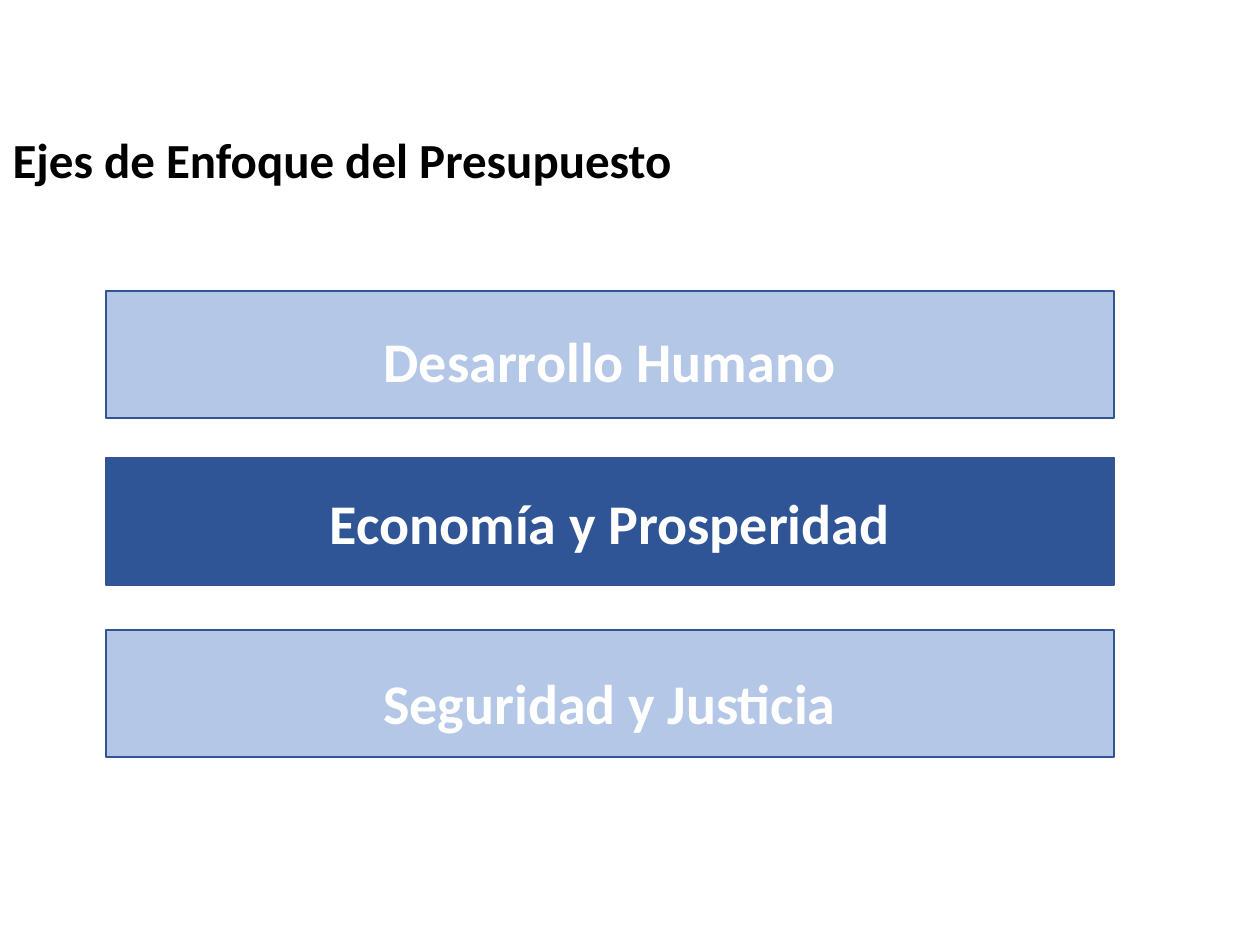
"""Build the slide on the focus areas of the budget."""
from dataclasses import dataclass

from pptx import Presentation
from pptx.dml.color import RGBColor as Rgb
from pptx.enum.shapes import MSO_SHAPE as Kind
from pptx.enum.text import MSO_ANCHOR as Anchor, PP_ALIGN as Align
from pptx.util import Pt

HUES = {
    "white": "FFFFFF",
    "black": "000000",
    "pale": "B4C7E7",
    "deep": "2F5597",
    "edge": "325491",
}
LEFT, WIDE, HIGH = 60.5, 576, 72.7


@dataclass
class Axis:
    text: str
    top: float
    drop: float
    fill: str


AXES = [
    Axis("Desarrollo Humano", 166.3, 16.6, "pale"),
    Axis("Economía y Prosperidad", 261.4, 14.4, "deep"),
    Axis("Seguridad y Justicia", 360, 18.7, "pale"),
]


def hue(name: str) -> Rgb:
    return Rgb.from_string(HUES[name])


def write(frame, text: str, *, size: float, color: str, align: Align,
          anchor: Anchor = Anchor.TOP) -> None:
    frame.word_wrap = True
    frame.vertical_anchor = anchor
    para = frame.paragraphs[0]
    para.alignment = align
    para.line_spacing = 1.0
    para.space_before = Pt(0)
    run = para.add_run()
    run.text = text
    font = run.font
    font.name, font.size, font.bold = "Calibri", Pt(size), True
    font.color.rgb = hue(color)


def draw_title(slide, text: str) -> None:
    title = slide.shapes.title
    title.left, title.top = Pt(0), Pt(70.6)
    title.width, title.height = Pt(720), Pt(41)
    title.fill.solid()
    title.fill.fore_color.rgb = hue("white")
    write(title.text_frame, text, size=28, color="black", align=Align.LEFT)


def draw_bar(slide, axis: Axis) -> None:
    bar = slide.shapes.add_shape(
        Kind.RECTANGLE, Pt(LEFT), Pt(axis.top), Pt(WIDE), Pt(HIGH))
    bar.shadow.inherit = False
    bar.fill.solid()
    bar.fill.fore_color.rgb = hue(axis.fill)
    bar.line.color.rgb = hue("edge")
    bar.line.width = Pt(1)


def draw_label(slide, axis: Axis) -> None:
    box = slide.shapes.add_textbox(
        Pt(LEFT), Pt(axis.top + axis.drop), Pt(WIDE), Pt(46))
    write(box.text_frame, axis.text, size=32, color="white",
          align=Align.CENTER)


def main() -> None:
    deck = Presentation()
    deck.slide_width, deck.slide_height = Pt(720), Pt(540)
    slide = deck.slides.add_slide(deck.slide_layouts[5])
    draw_title(slide, "Ejes de Enfoque del Presupuesto")
    for axis in AXES:
        draw_bar(slide, axis)
        draw_label(slide, axis)
    deck.save("out.pptx")


if __name__ == "__main__":
    main()
